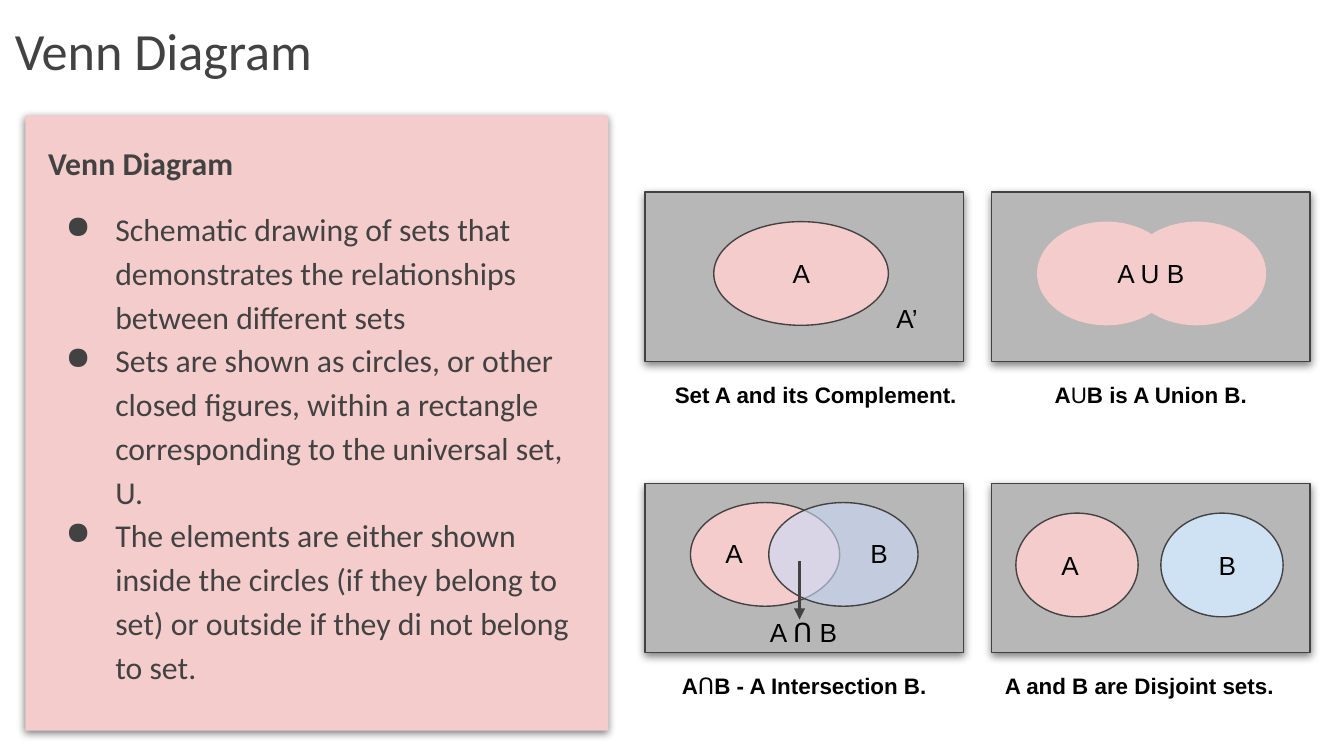
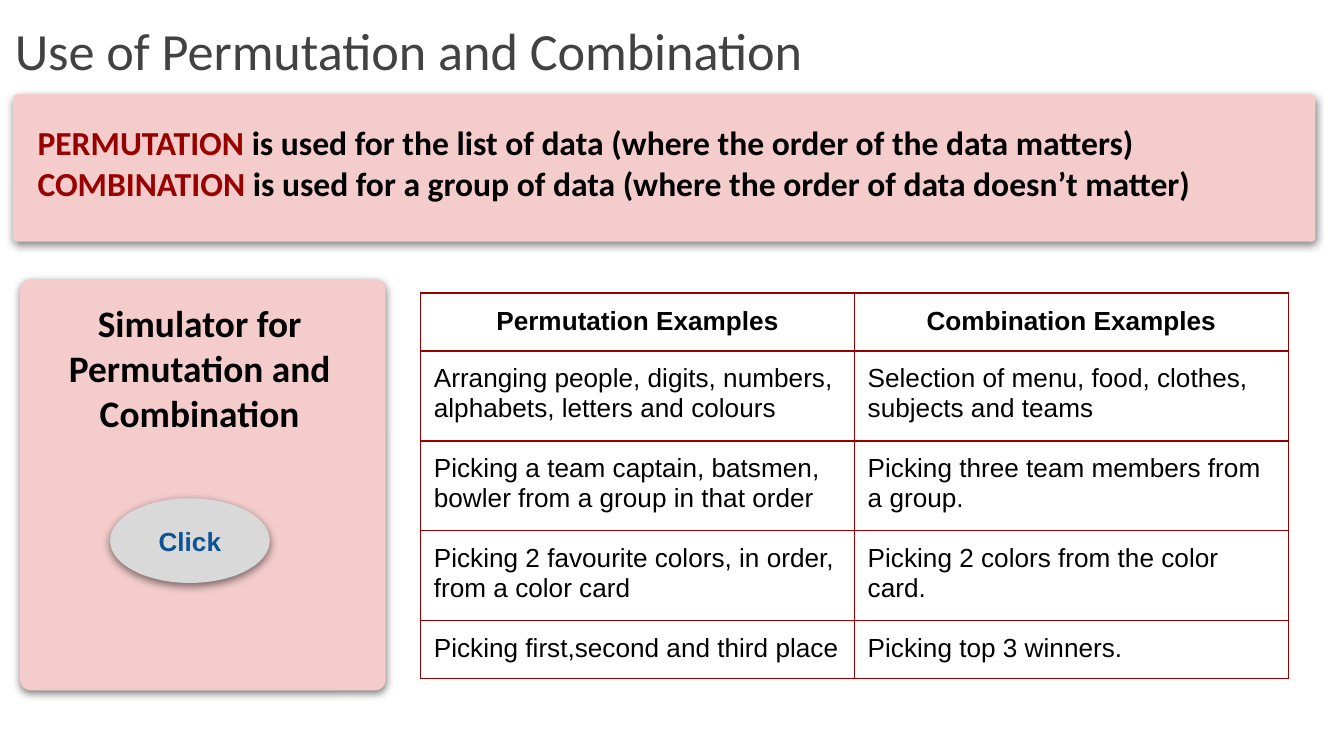
import pptx
import pptx.dml.color
import pptx.enum.shapes
import pptx.enum.text
import pptx.oxml
import pptx.oxml.ns
import pptx.util
from lxml import etree

Cm = pptx.util.Cm
Pt = pptx.util.Pt
SHAPES = pptx.enum.shapes.MSO_SHAPE
ALIGN = pptx.enum.text.PP_ALIGN
ANCHOR = pptx.enum.text.MSO_ANCHOR
qn = pptx.oxml.ns.qn

PINK = "F4CCCC"
GREY = "B7B7B7"
INK = "424242"
BLACK = "000000"
RED = "980000"
INSET = 0.25
LABEL_HEIGHT = 1.09
SET_HEIGHT = 1.96
PANEL_WIDTH, PANEL_HEIGHT = 6.02, 3.2


def colour(value):
    return pptx.dml.color.RGBColor.from_string(value)


def add_xml(parent, tag, **attributes):
    return etree.SubElement(parent, qn(tag), attributes)


def inside(box, left, top, width, height):
    return box[0] + left, box[1] + top, width, height


def style_font(font, size, name, value, bold=False):
    font.size = Pt(size)
    font.name = name
    font.bold = bold
    font.color.rgb = colour(value)


def set_insets(target):
    target.margin_left = target.margin_right = Cm(INSET)
    target.margin_top = target.margin_bottom = Cm(INSET)


def add_shape(slide, kind, box, fill, line=None, shadow=False, opacity=None):
    shape = slide.shapes.add_shape(kind, *map(Cm, box))
    shape.shadow.inherit = False
    shape.fill.solid()
    shape.fill.fore_color.rgb = colour(fill)
    if opacity:
        colour_element = shape.fill._xPr.find(".//" + qn("a:srgbClr"))
        add_xml(colour_element, "a:alpha", val=str(opacity * 1000))
    if line:
        shape.line.color.rgb = colour(line)
        shape.line.width = Pt(0.75)
    else:
        shape.line.fill.background()
    if shadow:
        effects = shape._element.spPr.find(qn("a:effectLst"))
        outer = add_xml(effects, "a:outerShdw", blurRad="57150", dist="19050",
                        dir="5400000", algn="bl", rotWithShape="0")
        add_xml(add_xml(outer, "a:srgbClr", val=BLACK), "a:alpha", val="50000")
    return shape


def add_card(slide, box):
    card = add_shape(slide, SHAPES.ROUNDED_RECTANGLE, box, PINK, shadow=True)
    card.adjustments[0] = 0.029


def add_frame(slide, box, anchor=ANCHOR.TOP):
    frame = slide.shapes.add_textbox(*map(Cm, box)).text_frame
    frame.word_wrap = True
    frame.vertical_anchor = anchor
    set_insets(frame)
    return frame


def write(paragraph, text, size, name, value, bold=False, align=ALIGN.LEFT):
    paragraph.text = text
    paragraph.alignment = align
    style_font(paragraph.font, size, name, value, bold)


def add_title(slide, text):
    frame = add_frame(slide, (0.03, 0.18, 24, 1.6), ANCHOR.BOTTOM)
    paragraph = frame.paragraphs[0]
    write(paragraph, text, 28, "Calibri", INK)
    paragraph.line_spacing = 1.15
    paragraph.space_after = Pt(16)


def add_definition(slide, box, heading, points):
    add_shape(slide, SHAPES.RECTANGLE, box, PINK, shadow=True)
    frame = add_frame(slide, inside(box, 0.18, 0.18, 10.39, 10.54))
    write(frame.paragraphs[0], heading, 17, "Calibri", INK, bold=True)
    for index, point in enumerate(points):
        paragraph = frame.add_paragraph()
        properties = paragraph._p.get_or_add_pPr()
        properties.set("marL", str(Cm(1.27)))
        properties.set("indent", str(Cm(-0.94)))
        add_xml(add_xml(properties, "a:buClr"), "a:srgbClr", val=INK)
        add_xml(properties, "a:buChar", char="●")
        write(paragraph, point, 17, "Calibri", INK)
        if index == 0:
            paragraph.space_before = Pt(12)
    for paragraph in frame.paragraphs:
        paragraph.line_spacing = 1.15


def add_venn_panel(slide, box, sets, labels, caption, caption_box, align=ALIGN.CENTER):
    add_shape(slide, SHAPES.RECTANGLE, box, GREY, INK, shadow=True)
    for left, top, width, fill, line, opacity in sets:
        add_shape(slide, SHAPES.OVAL, inside(box, left, top, width, SET_HEIGHT),
                  fill, line, opacity=opacity)
    for text, left, top, width in labels:
        frame = add_frame(slide, inside(box, left, top, width, LABEL_HEIGHT))
        write(frame.paragraphs[0], text, 14, "Arial", BLACK)
    left, width = caption_box
    frame = add_frame(slide, inside(box, left, PANEL_HEIGHT + 0.12, width, LABEL_HEIGHT))
    paragraph = frame.paragraphs[0]
    paragraph.alignment = align
    for text, bold in caption:
        run = paragraph.add_run()
        run.text = text
        style_font(run.font, 12, "Arial", BLACK, bold)


def add_arrow(slide, box, left, top, length):
    x, y = box[0] + left, box[1] + top
    arrow = slide.shapes.add_connector(
        pptx.enum.shapes.MSO_CONNECTOR.STRAIGHT, Cm(x), Cm(y), Cm(x), Cm(y + length))
    arrow.line.color.rgb = colour(INK)
    arrow.line.width = Pt(1.5)
    add_xml(arrow.line._get_or_add_ln(), "a:tailEnd", type="triangle")
    add_xml(arrow._element.spPr, "a:effectLst")


def add_venn_grid(slide, box):
    complement, union, intersection, disjoint = [
        inside(box, column * 6.55, row * 5.51, PANEL_WIDTH, PANEL_HEIGHT)
        for row in range(2) for column in range(2)]
    full = (0, PANEL_WIDTH)
    add_venn_panel(slide, complement,
                   [(1.3, 0.56, 3.3, PINK, INK, None)],
                   [("A", 2.54, 0.99, 1.07), ("A’", 4.5, 1.83, 1.07)],
                   [("Set A and its Complement.", True)], (-0.2, 6.86))
    add_venn_panel(slide, union,
                   [(left, 0.56, 2.62, PINK, None, None) for left in (0.86, 2.57)],
                   [("A U B", 2.13, 0.99, 1.98)],
                   [("A", True), ("U", False), ("B is A Union B.", True)], full)
    add_venn_panel(slide, intersection,
                   [(0.86, 0.36, 2.82, PINK, INK, None),
                    (2.34, 0.36, 2.82, "C9DAF8", INK, 61)],
                   [("A", 1.27, 0.76, 1.07), ("B", 4.01, 0.76, 1.07),
                    ("A ᑎ B", 2.11, 2.26, 1.98)],
                   [("A", True), ("ᑎ", False), ("B - A Intersection B.", True)], full)
    add_arrow(slide, intersection, 2.92, 1.47, 1.1)
    add_venn_panel(slide, disjoint,
                   [(0.46, 0.56, 2.31, PINK, INK, None),
                    (3.2, 0.56, 2.31, "CFE2F3", INK, None)],
                   [("A", 1.07, 0.99, 1.07), ("B", 4.04, 0.99, 1.07)],
                   [("A and B are Disjoint sets.", True)], full, ALIGN.LEFT)


def add_usage_banner(slide, box):
    add_card(slide, box)
    paragraph = add_frame(slide, inside(box, 0.21, 0.28, 24.08, 2.13)).paragraphs[0]
    for text, value in [
        ("PERMUTATION", RED),
        (" is used for the list of data (where the order of the data matters) ", BLACK),
        ("COMBINATION", "990000"),
        (" is used for a group of data (where the order of data doesn’t matter)", BLACK),
    ]:
        run = paragraph.add_run()
        run.text = text
        style_font(run.font, 18, "Calibri", value, bold=True)


def add_simulator(slide, box):
    add_card(slide, box)
    frame = add_frame(slide, inside(box, 0.08, 0.15, 6.63, 3.1))
    write(frame.paragraphs[0], "Simulator for Permutation and Combination",
          20, "Calibri", BLACK, True, ALIGN.CENTER)
    button = add_shape(slide, SHAPES.OVAL, inside(box, 1.7, 4.14, 3.02, 1.6),
                       "D9D9D9", shadow=True)
    button.text_frame.vertical_anchor = ANCHOR.MIDDLE
    set_insets(button.text_frame)
    write(button.text_frame.paragraphs[0], "Click", 14, "Arial", "0B5394", True, ALIGN.CENTER)


def add_borders(cell):
    properties = cell._tc.get_or_add_tcPr()
    for index, side in enumerate(("a:lnL", "a:lnR", "a:lnT", "a:lnB")):
        line = pptx.oxml.parse_xml(
            f'<{side} xmlns:a="http://schemas.openxmlformats.org/drawingml/2006/main" '
            f'w="{Pt(0.75)}"><a:solidFill><a:srgbClr val="{RED}"/></a:solidFill></{side}>')
        properties.insert(index, line)


def add_examples(slide, box, rows, heights):
    graphic = slide.shapes.add_table(len(rows), len(rows[0]), *map(Cm, box))
    table = graphic.table
    table.horz_banding = False
    for column in table.columns:
        column.width = Cm(box[2] / len(rows[0]))
    for row_index, (texts, height) in enumerate(zip(rows, heights)):
        table.rows[row_index].height = Cm(height)
        header = row_index == 0
        for column_index, text in enumerate(texts):
            cell = table.cell(row_index, column_index)
            cell.fill.background()
            set_insets(cell)
            write(cell.text_frame.paragraphs[0], text, 14, "Arial", BLACK, header,
                  ALIGN.CENTER if header else ALIGN.LEFT)
            add_borders(cell)


def build_venn_slide(slide):
    add_definition(slide, (0.48, 2.18, 11.02, 11.63), "Venn Diagram", [
        "Schematic drawing of sets that demonstrates the relationships between different sets",
        "Sets are shown as circles, or other closed figures, within a rectangle "
        "corresponding to the universal set, U.",
        "The elements are either shown inside the circles (if they belong to set) "
        "or outside if they di not belong to set.",
    ])
    add_venn_grid(slide, (12.19, 3.63))
    add_title(slide, "Venn Diagram")


def build_usage_slide(slide):
    add_title(slide, "Use of Permutation and Combination")
    add_simulator(slide, (0.38, 5.28, 6.91, 7.77))
    add_usage_banner(slide, (0.25, 1.78, 24.61, 2.79))
    add_examples(slide, (7.95, 5.54, 16.4, 7.28), [
        ("Permutation Examples", "Combination Examples"),
        ("Arranging people, digits, numbers, alphabets, letters and colours",
         "Selection of menu, food, clothes, subjects and teams"),
        ("Picking a team captain, batsmen, bowler from a group in that order",
         "Picking three team members from a group."),
        ("Picking 2 favourite colors, in order, from a color card",
         "Picking 2 colors from the color card."),
        ("Picking first,second and third place", "Picking top 3 winners."),
    ], (1.09, 1.7, 1.7, 1.7, 1.09))


def main():
    presentation = pptx.Presentation()
    presentation.slide_width = Cm(25.4)
    presentation.slide_height = Cm(14.29)
    for build in (build_venn_slide, build_usage_slide):
        build(presentation.slides.add_slide(presentation.slide_layouts[6]))
    presentation.save("out.pptx")


if __name__ == "__main__":
    main()
